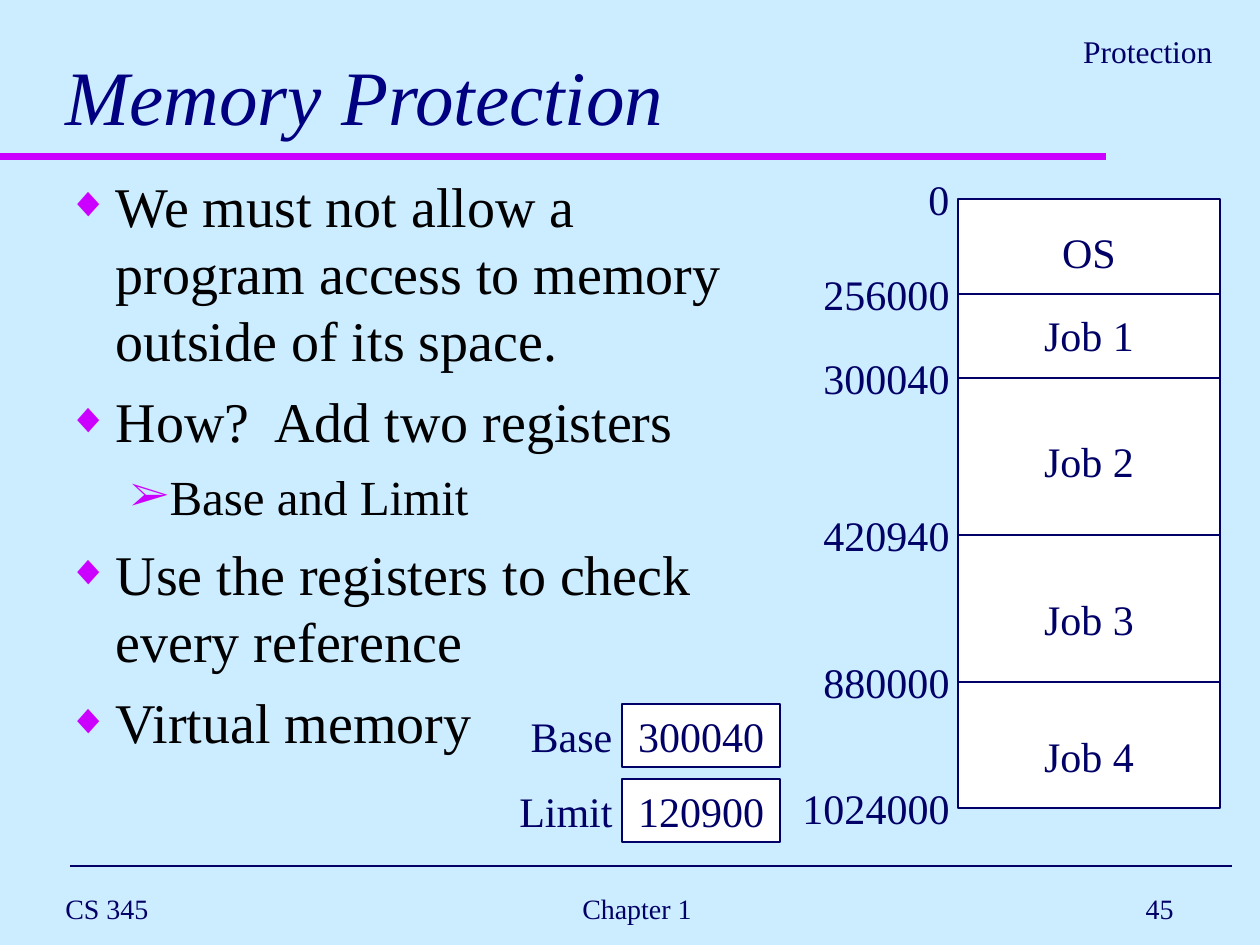
from lxml import etree
from pptx import Presentation
from pptx.dml.color import RGBColor
from pptx.enum.shapes import MSO_CONNECTOR, MSO_SHAPE
from pptx.enum.text import MSO_ANCHOR, MSO_AUTO_SIZE, PP_ALIGN
from pptx.oxml.ns import qn
from pptx.util import Emu, Pt

FONT = "Times New Roman"
COLORS = {
    "background": "CCECFF",
    "accent": "CC00FF",
    "navy": "000066",
    "title": "000080",
    "body": "000000",
    "box": "FFFFFF",
}

# Bullet levels: left margin px, indent px, size pt, space before pt, character, bullet %
LEVELS = [
    (48, -48, 32, 8, "◆", 75),
    (102, -39, 28, 7, "➢", 85),
]
BULLETS = [
    (0, "We must not allow a program access to memory outside of its space."),
    (0, "How?  Add two registers"),
    (1, "Base and Limit"),
    (0, "Use the registers to check every reference"),
    (0, "Virtual memory"),
]

# Memory map: boundary y and address; job name, centre y and label width
MAP_LEFT, MAP_WIDTH = 958, 262
BOUNDARIES = [(199, "0"), (294, "256000"), (378, "300040"),
              (535, "420940"), (682, "880000"), (808, "1024000")]
JOBS = [("OS", 252, 78), ("Job 1", 335, 115), ("Job 2", 461, 115),
        ("Job 3", 619, 115), ("Job 4", 756, 115)]
# Registers: name, value, top y, label width
REGISTERS = [("Base", "300040", 704, 107), ("Limit", "120900", 779, 118)]
LABEL_HEIGHT = 63


def px(n):
    return Emu(round(n * 914400 / 126))


def rgb(name):
    return RGBColor.from_string(COLORS[name])


def style(p, size, color, italic=False):
    for r in p.runs:
        r.font.name = FONT
        r.font.size = Pt(size)
        r.font.italic = italic
        r.font.color.rgb = rgb(color)


def place(sp, left, top, width, height):
    sp.left, sp.top, sp.width, sp.height = map(px, (left, top, width, height))


def write(sp, text, size, align, anchor=MSO_ANCHOR.MIDDLE, wrap=False):
    tf = sp.text_frame
    tf.text = text
    tf.word_wrap = wrap
    tf.vertical_anchor = anchor
    if align == PP_ALIGN.CENTER:
        # Centred labels use the full width, so that none breaks
        tf.margin_left = tf.margin_right = 0
    p = tf.paragraphs[0]
    p.alignment = align
    style(p, size, "navy")


def add_label(shapes, text, left, top, width, height=LABEL_HEIGHT, size=24,
              align=PP_ALIGN.CENTER, **options):
    sp = shapes.add_textbox(*map(px, (left, top, width, height)))
    write(sp, text, size, align, **options)


def add_box(shapes, left, top, width, height, text=""):
    sp = shapes.add_shape(MSO_SHAPE.RECTANGLE, *map(px, (left, top, width, height)))
    sp.shadow.inherit = False
    sp.fill.solid()
    sp.fill.fore_color.rgb = rgb("box")
    sp.line.color.rgb = rgb("navy")
    sp.line.width = Pt(0.75)
    if text:
        write(sp, text, 24, PP_ALIGN.CENTER)


def add_rule(shapes, left, right, y, color="navy", width=0.75):
    line = shapes.add_connector(MSO_CONNECTOR.STRAIGHT, px(left), px(y), px(right), px(y))
    line.line.color.rgb = rgb(color)
    line.line.width = Pt(width)
    etree.SubElement(line._element.spPr, qn("a:effectLst"))


def set_bullet(p, level):
    left, indent, _, _, char, percent = LEVELS[level]
    pPr = p._p.get_or_add_pPr()
    pPr.set("marL", str(px(left)))
    pPr.set("indent", str(px(indent)))
    clr = etree.SubElement(pPr, qn("a:buClr"))
    etree.SubElement(clr, qn("a:srgbClr"), val=COLORS["accent"])
    etree.SubElement(pPr, qn("a:buSzPct"), val=str(percent * 1000))
    etree.SubElement(pPr, qn("a:buFont"), typeface=FONT)
    etree.SubElement(pPr, qn("a:buChar"), char=char)


def fill_title(sp):
    place(sp, 53, 21, 1166, 126)
    tf = sp.text_frame
    tf.text = "Memory Protection"
    tf.auto_size = MSO_AUTO_SIZE.NONE
    tf.vertical_anchor = MSO_ANCHOR.BOTTOM
    tf.paragraphs[0].alignment = PP_ALIGN.LEFT
    style(tf.paragraphs[0], 44, "title", italic=True)


def fill_body(sp):
    place(sp, 55, 165, 730, 679)
    tf = sp.text_frame
    tf.text = "\n".join(text for _, text in BULLETS)
    tf.auto_size = MSO_AUTO_SIZE.NONE
    for i, (p, (level, _)) in enumerate(zip(tf.paragraphs, BULLETS)):
        _, _, size, before, _, _ = LEVELS[level]
        set_bullet(p, level)
        p.level = level
        p.space_before = Pt(before if i else 0)
        style(p, size, "body")


def add_memory_map(shapes):
    top, bottom = BOUNDARIES[0][0], BOUNDARIES[-1][0]
    add_box(shapes, MAP_LEFT, top, MAP_WIDTH, bottom - top)
    for y, _ in BOUNDARIES[1:-1]:
        add_rule(shapes, MAP_LEFT, MAP_LEFT + MAP_WIDTH, y)
    for name, middle, width in JOBS:
        add_label(shapes, name, MAP_LEFT + (MAP_WIDTH - width) / 2,
                  middle - LABEL_HEIGHT / 2, width)
    # Addresses end at the left side of the map
    for y, address in BOUNDARIES:
        width = 25 + 21 * len(address)
        add_label(shapes, address, MAP_LEFT + 4 - width, y - LABEL_HEIGHT / 2, width)


def add_registers(shapes):
    left = 622
    for name, value, top, width in REGISTERS:
        add_box(shapes, left, top, 158, LABEL_HEIGHT, value)
        add_label(shapes, name, left + 3 - width, top, width)


def main():
    prs = Presentation()
    prs.slide_width, prs.slide_height = px(1260), px(945)
    slide = prs.slides.add_slide(prs.slide_layouts[1])
    slide.background.fill.solid()
    slide.background.fill.fore_color.rgb = rgb("background")
    shapes = slide.shapes

    # Rules and footer
    add_rule(shapes, 0, 1106, 157, "accent", 4)
    add_rule(shapes, 70, 1232, 866, width=1)
    for text, left, width, align in [("CS 345", 53, 336, PP_ALIGN.LEFT),
                                     ("Chapter 1", 387, 500, PP_ALIGN.CENTER),
                                     ("45", 924, 262, PP_ALIGN.RIGHT)]:
        add_label(shapes, text, left, 882, width, 53, 16, align, wrap=True)

    # Title, list and section name
    fill_title(shapes.title)
    fill_body(slide.placeholders[1])
    add_label(shapes, "Protection", 876, 26, 349, 50, 18, PP_ALIGN.RIGHT,
              anchor=MSO_ANCHOR.TOP, wrap=True)

    # Diagram
    add_memory_map(shapes.add_group_shape().shapes)
    add_registers(shapes.add_group_shape().shapes)
    prs.save("out.pptx")


if __name__ == "__main__":
    main()
